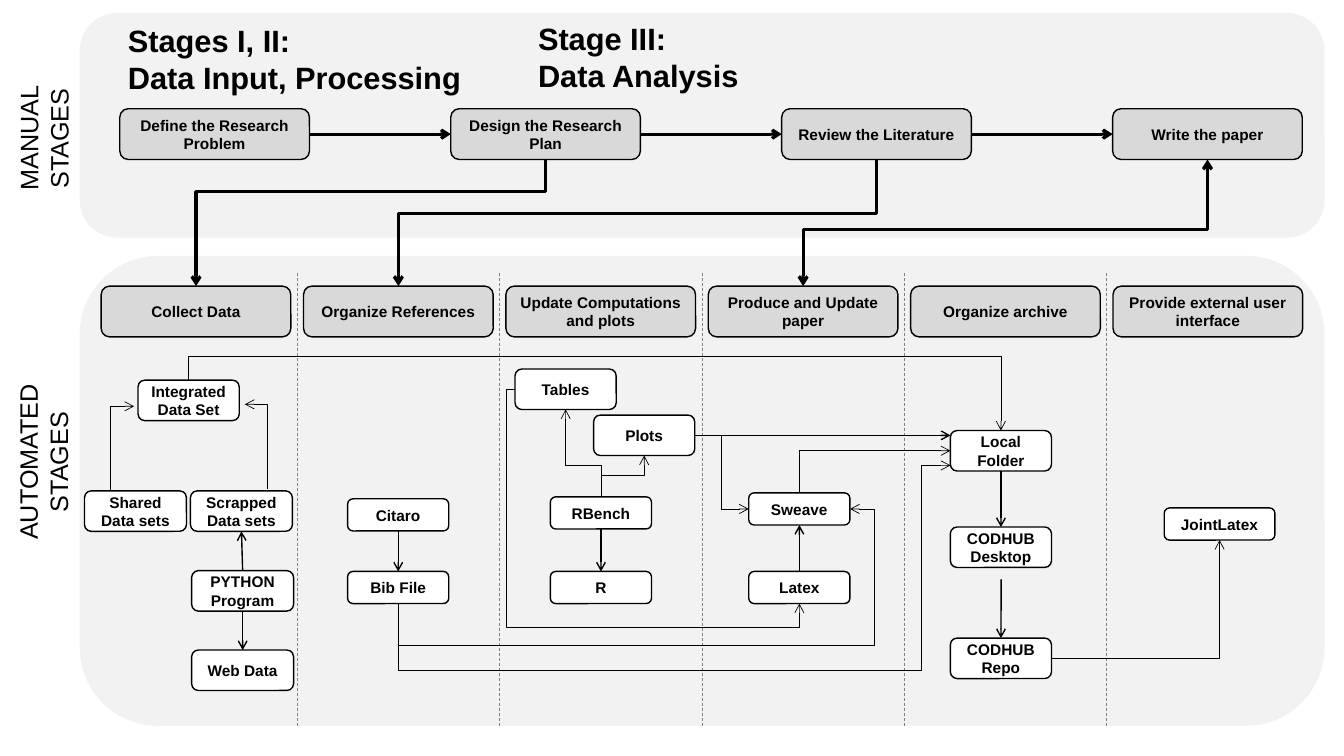
from lxml.etree import SubElement
from pptx import Presentation
from pptx.dml.color import RGBColor
from pptx.enum.dml import MSO_LINE
from pptx.enum.shapes import MSO_CONNECTOR, MSO_SHAPE
from pptx.enum.text import MSO_ANCHOR, MSO_AUTO_SIZE, PP_ALIGN
from pptx.oxml.ns import qn
from pptx.util import Cm, Pt

BLACK = RGBColor(0x00, 0x00, 0x00)
WHITE = RGBColor(0xFF, 0xFF, 0xFF)
PANEL_GREY = RGBColor(0xF2, 0xF2, 0xF2)
STAGE_GREY = RGBColor(0xD9, 0xD9, 0xD9)
DIVIDER_GREY = RGBColor(0x80, 0x80, 0x80)
FONT = "Arial"

# All positions and sizes are in centimetres: left, top, width, height.
PANELS = [(2.01, 0.33, 31.37, 5.66), (2.01, 6.45, 31.37, 11.84)]
SIDE_LABELS = [
    ("MANUAL STAGES", (-1.24, 2.59, 4.7, 1.8)),
    ("AUTOMATED STAGES", (-1.37, 10.74, 4.93, 1.8)),
]
HEADINGS = [
    (["Stages I, II:", "Data Input, Processing"], (2.97, 0.41, 9.37, 2.13)),
    (["Stage III:", "Data Analysis"], (13.31, 0.38, 7.29, 2.13)),
]

STAGE_SIZE = (4.78, 1.28)
# left, top and step of each row, then its stages
STAGE_ROWS = [
    (3.02, 2.74, 8.34, ["Define the Research Problem", "Design the Research Plan",
                        "Review the Literature", "Write the paper"]),
    (2.55, 7.21, 5.1, ["Collect Data", "Organize References",
                       "Update Computations and plots", "Produce and Update paper",
                       "Organize archive", "Provide external user interface"]),
]
DIVIDER_LEFT, DIVIDER_STEP, DIVIDER_COUNT = 7.49, 5.1, 5
DIVIDER_TOP, DIVIDER_BOTTOM = 6.88, 18.29

TALL, SHORT = 1.02, 0.81
TOOLS = {
    "Shared Data sets": (2.13, 12.37, 2.57, TALL),
    "Scrapped Data sets": (4.8, 12.37, 2.57, TALL),
    "Web Data": (4.83, 16.38, 2.57, TALL),
    "PYTHON Program": (4.83, 14.38, 2.57, TALL),
    "Integrated Data Set": (3.48, 9.58, 2.55, TALL),
    "CODHUB Repo": (23.95, 16.08, 2.55, TALL),
    "Local Folder": (23.95, 10.85, 2.55, TALL),
    "CODHUB Desktop": (23.95, 13.28, 2.55, TALL),
    "R": (13.87, 14.4, 2.55, SHORT),
    "RBench": (13.87, 12.52, 2.55, SHORT),
    "Latex": (18.87, 14.4, 2.55, SHORT),
    "Citaro": (8.76, 12.57, 2.55, SHORT),
    "Bib File": (8.76, 14.4, 2.55, SHORT),
    "JointLatex": (29.34, 12.8, 2.79, SHORT),
    "Sweave": (18.87, 12.42, 2.55, SHORT),
    "Tables": (12.98, 9.3, 2.55, TALL),
    "Plots": (14.96, 10.46, 2.55, TALL),
}

THICK, MEDIUM, THIN = 2.25, 1, 0.5
# An end is a box with its side, or a point.
STRAIGHT_ARROWS = [
    (("PYTHON Program", "bottom"), ("Web Data", "top")),
    (("PYTHON Program", "top"), ("Scrapped Data sets", "bottom")),
    (("Local Folder", "bottom"), ("CODHUB Desktop", "top")),
    ((25.23, 14.6), ("CODHUB Repo", "top")),
    (("Citaro", "bottom"), ("Bib File", "top")),
    (("RBench", "bottom"), ("R", "top")),
    (("Plots", "right"), (23.95, 10.97)),
    (("Latex", "top"), ("Sweave", "bottom")),
]
# start, first direction, coordinates where the arrow turns, end, weight
BENT_ARROWS = [
    (("Design the Research Plan", "bottom"), "down", [4.83], ("Collect Data", "top"), THICK),
    (("Review the Literature", "bottom"), "down", [5.38], ("Organize References", "top"), THICK),
    (("Write the paper", "bottom"), "down", [5.79], ("Produce and Update paper", "top"), THICK),
    ((6.73, 12.32), "down", [10.19], (6.17, 10.19), THIN),
    ((2.79, 12.37), "down", [10.24], (3.38, 10.24), THIN),
    (("Integrated Data Set", "top"), "down", [8.99], ("Local Folder", "top"), THIN),
    (("CODHUB Repo", "right"), "across", [], ("JointLatex", "bottom"), THIN),
    (("RBench", "top"), "down", [11.73], ("Tables", "bottom"), THIN),
    (("RBench", "top"), "down", [11.99], ("Plots", "bottom"), THIN),
    (("Tables", "left"), "across", [12.75, 15.82], ("Latex", "bottom"), THIN),
    (("Plots", "right"), "across", [18.19], ("Sweave", "left"), THIN),
    (("Bib File", "bottom"), "down", [16.26, 22.05], ("Sweave", "right"), THIN),
    (("Bib File", "bottom"), "down", [16.89, 23.22], (23.95, 11.73), THIN),
    (("Sweave", "top"), "down", [], ("Local Folder", "left"), THIN),
]
TWO_WAY_START = "Write the paper"
SIDES = {"left": (0, 0.5), "right": (1, 0.5), "top": (0.5, 0), "bottom": (0.5, 1)}

presentation = Presentation()
presentation.slide_width, presentation.slide_height = Cm(33.87), Cm(19.05)
slide = presentation.slides.add_slide(presentation.slide_layouts[5])
boxes = dict(TOOLS)


def write(shape, lines, size, bold=True, align=PP_ALIGN.CENTER, anchor=MSO_ANCHOR.TOP):
    frame = shape.text_frame
    frame.text = "\n".join(lines)
    settings = {"word_wrap": True, "auto_size": MSO_AUTO_SIZE.NONE, "vertical_anchor": anchor}
    for name, value in settings.items():
        setattr(frame, name, value)
    for paragraph in frame.paragraphs:
        paragraph.alignment = align
        for name, value in {"name": FONT, "size": Pt(size), "bold": bold}.items():
            setattr(paragraph.runs[0].font, name, value)
        paragraph.runs[0].font.color.rgb = BLACK


def add_box(place, fill, text=None):
    shape = slide.shapes.add_shape(MSO_SHAPE.ROUNDED_RECTANGLE, *map(Cm, place))
    shape.shadow.inherit = False
    shape.fill.solid()
    shape.fill.fore_color.rgb = fill
    if text is None:
        shape.line.fill.background()
        return
    shape.line.color.rgb = BLACK
    shape.line.width = Pt(1)
    write(shape, [text], 11, anchor=MSO_ANCHOR.MIDDLE)
    shape.text_frame.margin_top = shape.text_frame.margin_bottom = 0


def locate(end):
    """Return the point that a box side or a plain point stands for."""
    if not isinstance(end[0], str):
        return end
    left, top, width, height = boxes[end[0]]
    across, down = SIDES[end[1]]
    return left + across * width, top + down * height


def add_line(start, end, weight, color=BLACK, arrows=("tailEnd",), kind=MSO_CONNECTOR.STRAIGHT):
    connector = slide.shapes.add_connector(kind, *map(Cm, (*start, *end)))
    connector.line.color.rgb = color
    connector.line.width = Pt(weight)
    for arrow in arrows:
        SubElement(connector.line._get_or_add_ln(), qn(f"a:{arrow}"), type="arrow")
    SubElement(connector._element.spPr, qn("a:effectLst"))
    return connector


def add_bent_arrow(start, direction, turns, end, weight, arrows):
    """Draw an elbow; one that starts up or down is a flat elbow turned by a quarter."""
    (x1, y1), (x2, y2) = start, end
    dx, dy = x2 - x1, y2 - y1
    turned = direction == "down"
    if turned:
        middle_x, middle_y = (x1 + x2) / 2, (y1 + y2) / 2
        half_width = abs(dy) / 2 * (-1 if dx > 0 else 1)
        half_height = abs(dx) / 2 * (-1 if dy < 0 else 1)
        start = middle_x - half_width, middle_y - half_height
        end = middle_x + half_width, middle_y + half_height
    connector = add_line(start, end, weight, arrows=arrows, kind=MSO_CONNECTOR.ELBOW)
    properties = connector._element.spPr
    if turned:
        quarter_turns = 1 if (dx < 0) != (dy < 0) else 3
        properties.find(qn("a:xfrm")).set("rot", str(quarter_turns * 90 * 60000))
    geometry = properties.find(qn("a:prstGeom"))
    geometry.set("prst", f"bentConnector{len(turns) + 2}")
    axes = [(y1, dy), (x1, dx)] if turned else [(x1, dx), (y1, dy)]
    for number, (turn, (origin, span)) in enumerate(zip(turns, axes), 1):
        share = round((turn - origin) / span * 100000)
        SubElement(geometry.find(qn("a:avLst")), qn("a:gd"),
                   name=f"adj{number}", fmla=f"val {share}")


for panel in PANELS:
    add_box(panel, PANEL_GREY)
for label, place in SIDE_LABELS:
    label_box = slide.shapes.add_textbox(*map(Cm, place))
    label_box.rotation = 270
    write(label_box, [label], 18, bold=False)

for left, top, step, stages in STAGE_ROWS:
    for column, stage in enumerate(stages):
        boxes[stage] = (left + column * step, top, *STAGE_SIZE)
        add_box(boxes[stage], STAGE_GREY, stage)
manual_stages = STAGE_ROWS[0][3]
for stage, next_stage in zip(manual_stages, manual_stages[1:]):
    add_line(locate((stage, "right")), locate((next_stage, "left")), THICK)
for column in range(DIVIDER_COUNT):
    x = DIVIDER_LEFT + column * DIVIDER_STEP
    divider = add_line((x, DIVIDER_TOP), (x, DIVIDER_BOTTOM), THIN, DIVIDER_GREY, arrows=())
    divider.line.dash_style = MSO_LINE.DASH

for tool, place in TOOLS.items():
    add_box(place, WHITE, tool)
for start, end in STRAIGHT_ARROWS:
    add_line(locate(start), locate(end), MEDIUM)
for start, direction, turns, end, weight in BENT_ARROWS:
    arrows = ("headEnd", "tailEnd") if start[0] == TWO_WAY_START else ("tailEnd",)
    add_bent_arrow(locate(start), direction, turns, locate(end), weight, arrows)

title = slide.shapes.title
slide.shapes._spTree.append(title._element)  # bring the title in front of the panels
heading_boxes = [title, slide.shapes.add_textbox(0, 0, 0, 0)]
for shape, (lines, place) in zip(heading_boxes, HEADINGS):
    for name, value in zip(("left", "top", "width", "height"), place):
        setattr(shape, name, Cm(value))
    write(shape, lines, 22, align=PP_ALIGN.LEFT)

presentation.save("out.pptx")
